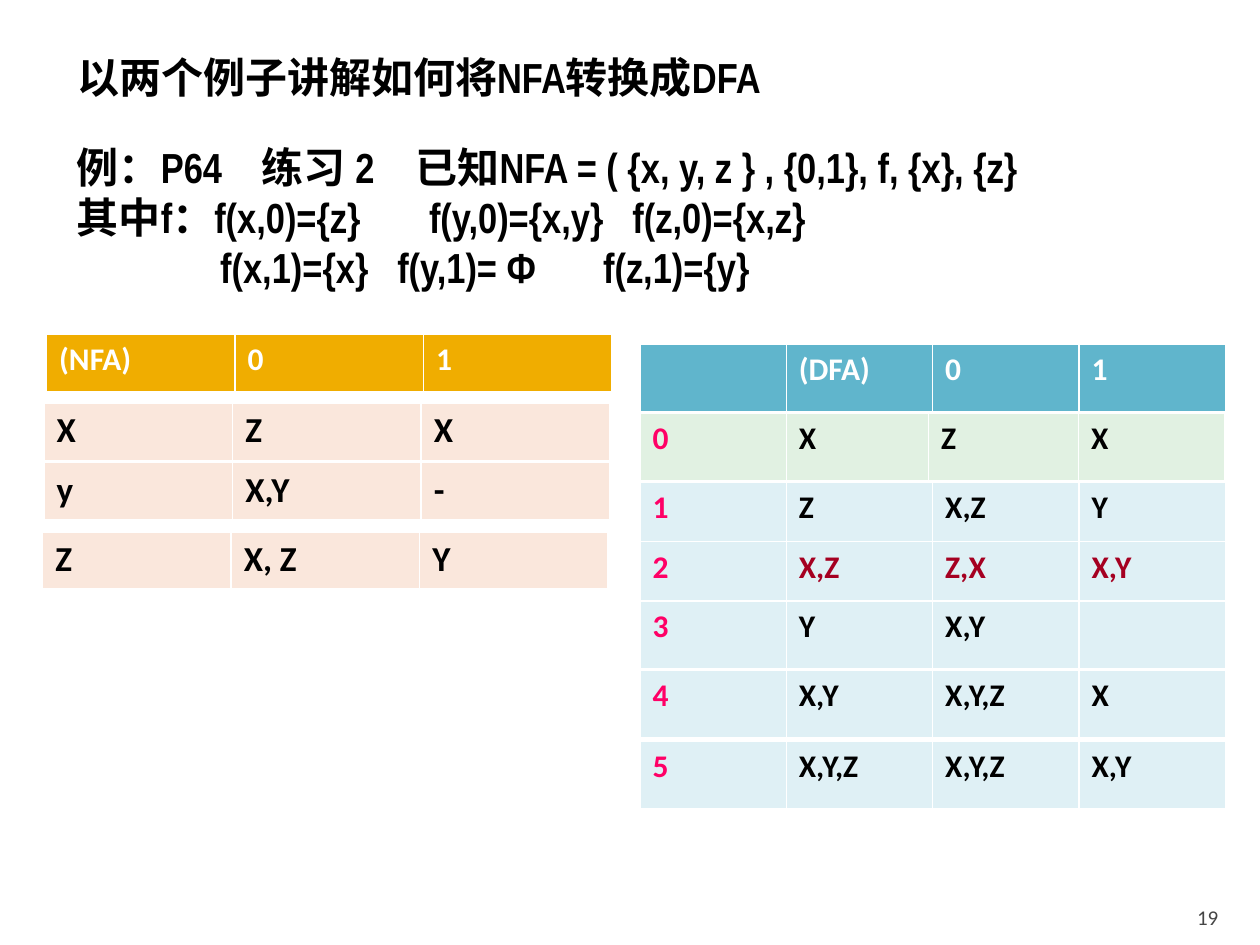
from lxml import etree
from pptx import Presentation
from pptx.dml.color import RGBColor
from pptx.enum.text import MSO_ANCHOR, MSO_AUTO_SIZE, PP_ALIGN
from pptx.oxml.ns import qn
from pptx.util import Cm, Pt

LEFT, RIGHT = PP_ALIGN.LEFT, PP_ALIGN.RIGHT
TOP, BOTTOM = MSO_ANCHOR.TOP, MSO_ANCHOR.BOTTOM
NO_AUTOFIT = MSO_AUTO_SIZE.NONE

# Content
TITLE = "以两个例子讲解如何将NFA转换成DFA"
PAGE_NUMBER = "19"
# Each line of the example with its tab stops in cm
EXAMPLE = [
    ("例：P64\t练习 2\t已知NFA = ( {x, y, z } , {0,1}, f, {x}, {z}", [3.73, 6.83]),
    ("其中f：f(x,0)={z}\tf(y,0)={x,y}\tf(z,0)={x,z}", [7.1, 11.2]),
    ("\tf(x,1)={x}\tf(y,1)= Ф\tf(z,1)={y}", [2.89, 6.46, 10.61]),
]
# Every row is a table strip: left, top, cells, kind
NFA_STRIPS = [
    (0.94, 6.73, ["(NFA)", "0", "1"], "nfa_header"),
    (0.89, 8.13, ["X", "Z", "X"], "nfa_row"),
    (0.89, 9.32, ["y", "X,Y", "-"], "nfa_row"),
    (0.86, 10.72, ["Z", "X, Z", "Y"], "nfa_row"),
]
DFA_LEFT = 12.9
DFA_STRIPS = [
    (DFA_LEFT, 6.93, ["", "(DFA)", "0", "1"], "dfa_header"),
    (DFA_LEFT, 8.33, ["0", "X", "Z", "X"], "dfa_start"),
    (DFA_LEFT, 9.73, ["1", "Z", "X,Z", "Y"], "dfa_row"),
    (DFA_LEFT, 10.92, ["2", "X,Z", "Z,X", "X,Y"], "dfa_marked"),
    (DFA_LEFT, 12.12, ["3", "Y", "X,Y", ""], "dfa_row"),
    (DFA_LEFT, 13.51, ["4", "X,Y", "X,Y,Z", "X"], "dfa_row"),
    (DFA_LEFT, 14.94, ["5", "X,Y,Z", "X,Y,Z", "X,Y"], "dfa_row"),
]
NFA_WIDTHS = [3.8] * 3
DFA_WIDTHS = [2.95] * 4
START_WIDTHS = [2.95, 2.87, 3.02, 2.95]

THEME = {
    "heading_font": "Arial Narrow", "table_font": "Calibri",
    "heading_size": 24, "number_size": 12,
    "black": "000000", "number": "454545", "border": "FFFFFF",
    # kind: fill, first-column colour, other text colour, type size
    "nfa_header": ("F0AD00", "FFFFFF", "FFFFFF", 18),
    "nfa_row": ("FAE7DC", "000000", "000000", 20),
    "dfa_header": ("60B5CC", "FFFFFF", "FFFFFF", 18),
    "dfa_start": ("E1F1E2", "FF0066", "000000", 18),
    "dfa_row": ("DFF0F5", "FF0066", "000000", 18),
    "dfa_marked": ("DFF0F5", "FF0066", "A50021", 18),
}
BORDERS = [("a:lnL", 1), ("a:lnR", 1), ("a:lnT", 1), ("a:lnB", 3)]


def format_runs(paragraph, font, size, color, bold=True):
    for run in paragraph.runs:
        run.font.name = font
        run.font.size = Pt(size)
        run.font.bold = bold
        run.font.color.rgb = RGBColor.from_string(color)


def format_heading(paragraph):
    paragraph.alignment = LEFT
    format_runs(paragraph, THEME["heading_font"], THEME["heading_size"], THEME["black"])


def place(shape, left, top, width, height):
    shape.left, shape.top = Cm(left), Cm(top)
    shape.width, shape.height = Cm(width), Cm(height)


def add_tab_stops(paragraph, stops):
    tab_list = etree.SubElement(paragraph._p.get_or_add_pPr(), qn("a:tabLst"))
    for stop in stops:
        etree.SubElement(tab_list, qn("a:tab"), pos=str(int(Cm(stop))), algn="l")


def add_borders(cell):
    properties = cell._tc.get_or_add_tcPr()
    for index, (tag, width) in enumerate(BORDERS):
        line = etree.Element(qn(tag), w=str(int(Pt(width))))
        fill = etree.SubElement(line, qn("a:solidFill"))
        etree.SubElement(fill, qn("a:srgbClr"), val=THEME["border"])
        properties.insert(index, line)


def add_strip(slide, left, top, texts, kind, widths, height):
    fill, first_color, color, size = THEME[kind]
    table = slide.shapes.add_table(1, len(texts), Cm(left), Cm(top),
                                   Cm(sum(widths)), Cm(height)).table
    table.first_row = table.horz_banding = False
    for index, (text, width) in enumerate(zip(texts, widths)):
        table.columns[index].width = Cm(width)
        cell = table.cell(0, index)
        cell.text_frame.text = text
        format_runs(cell.text_frame.paragraphs[0], THEME["table_font"], size,
                    color if index else first_color)
        cell.fill.solid()
        cell.fill.fore_color.rgb = RGBColor.from_string(fill)
        add_borders(cell)


def main():
    presentation = Presentation()
    presentation.slide_width, presentation.slide_height = Cm(25.4), Cm(19.05)
    slide = presentation.slides.add_slide(presentation.slide_layouts[5])

    # Title
    title = slide.shapes.title
    place(title, 1.3, 0.91, 19, 1.27)
    title.text_frame.text = TITLE
    title.text_frame.auto_size = NO_AUTOFIT
    title.text_frame.vertical_anchor = TOP
    format_heading(title.text_frame.paragraphs[0])

    # Example definition
    example = slide.shapes.add_textbox(Cm(1.3), Cm(2.72), Cm(22), Cm(3.33))
    frame = example.text_frame
    frame.word_wrap = True
    frame.text = "\n".join(text for text, _ in EXAMPLE)
    for paragraph, (_, stops) in zip(frame.paragraphs, EXAMPLE):
        add_tab_stops(paragraph, stops)
        format_heading(paragraph)

    # Transition tables
    for strip in NFA_STRIPS:
        add_strip(slide, *strip, NFA_WIDTHS, 1.19)
    for strip in DFA_STRIPS:
        widths = START_WIDTHS if strip[-1] == "dfa_start" else DFA_WIDTHS
        add_strip(slide, *strip, widths, 1.4)

    # Page number
    number = slide.shapes.add_textbox(Cm(22.78), Cm(17.98), Cm(2.03), Cm(0.76))
    frame = number.text_frame
    frame.word_wrap = True
    frame.vertical_anchor = BOTTOM
    frame.margin_bottom = 0
    frame.text = PAGE_NUMBER
    frame.paragraphs[0].alignment = RIGHT
    format_runs(frame.paragraphs[0], THEME["table_font"], THEME["number_size"],
                THEME["number"], bold=False)

    presentation.save("out.pptx")


if __name__ == "__main__":
    main()
